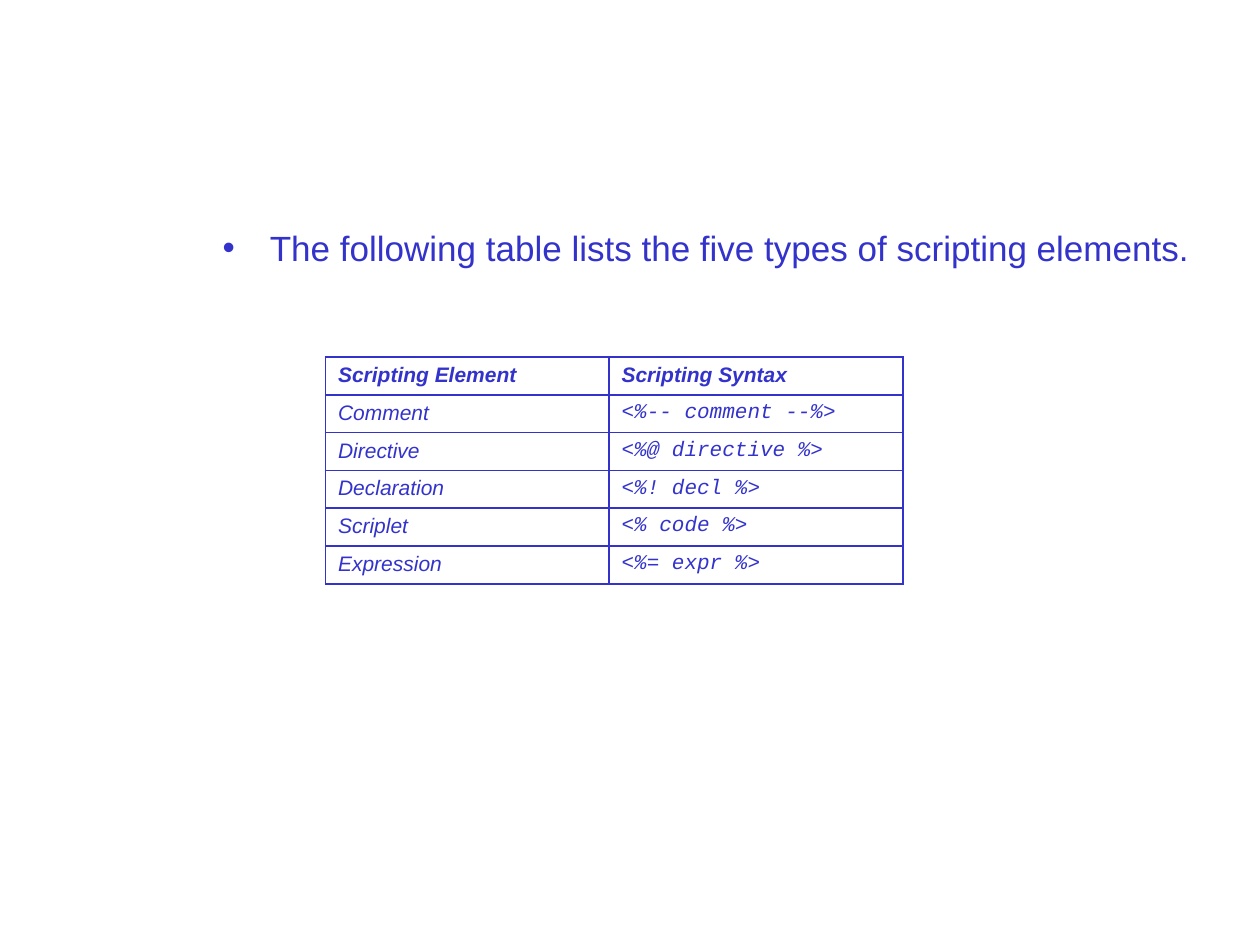
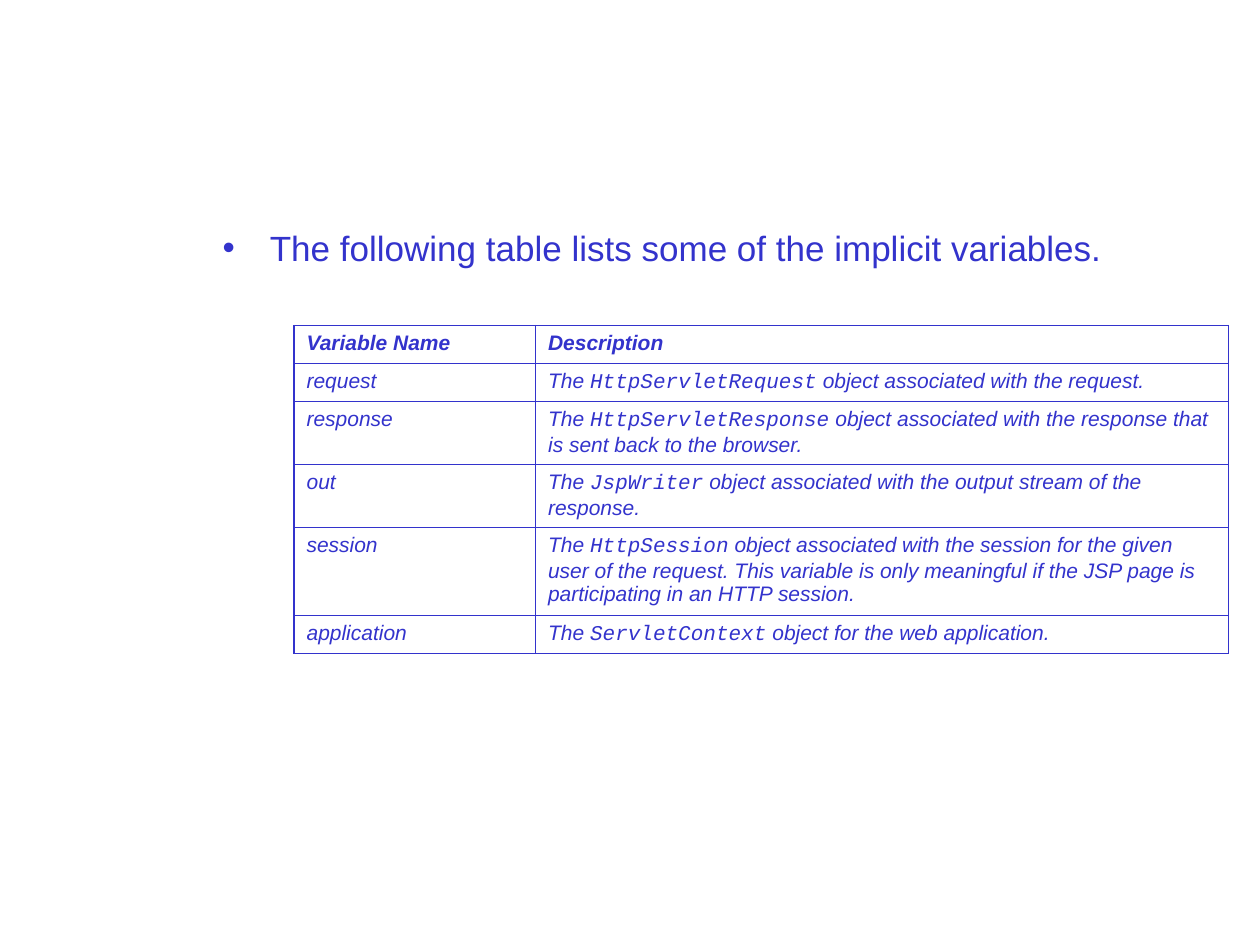
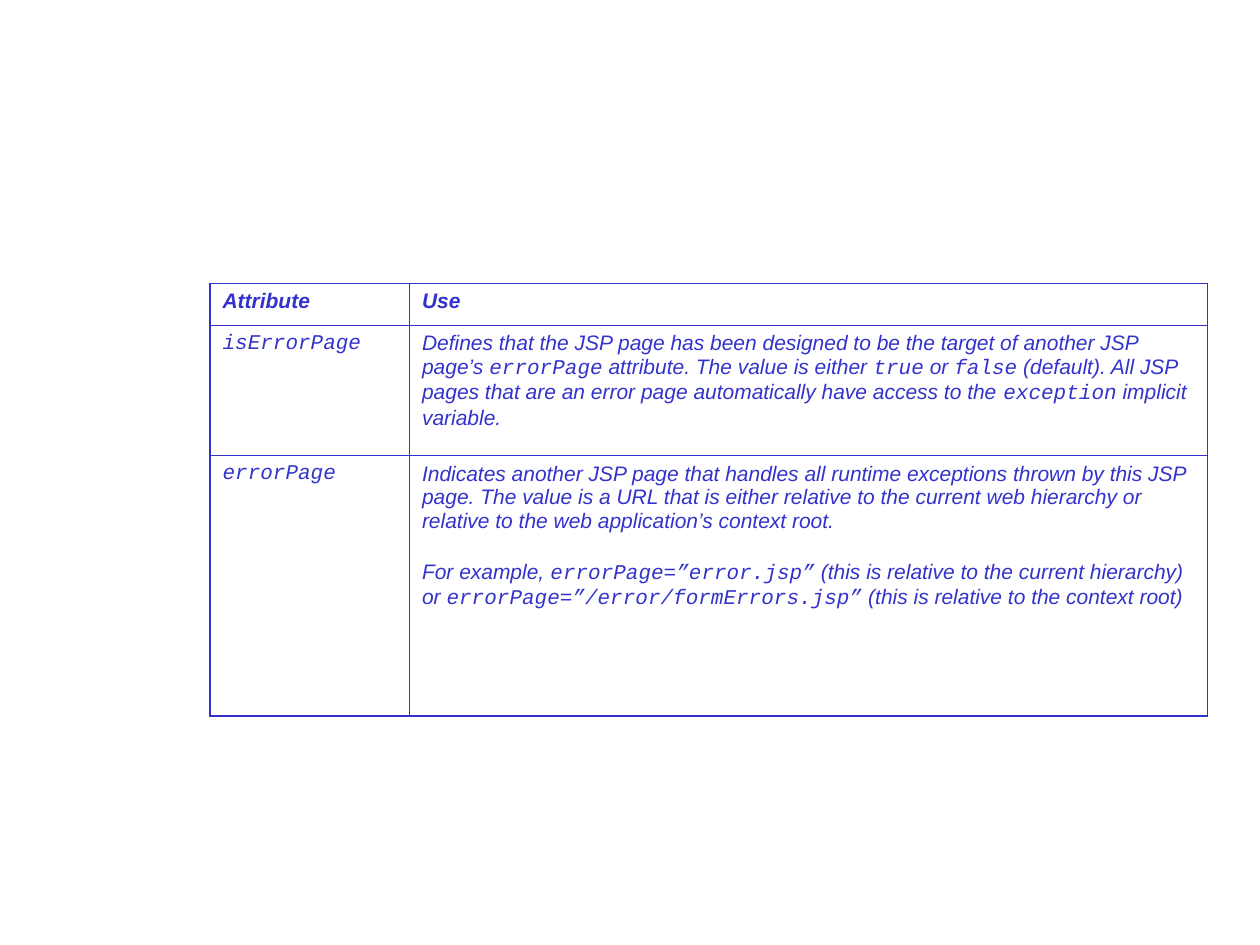
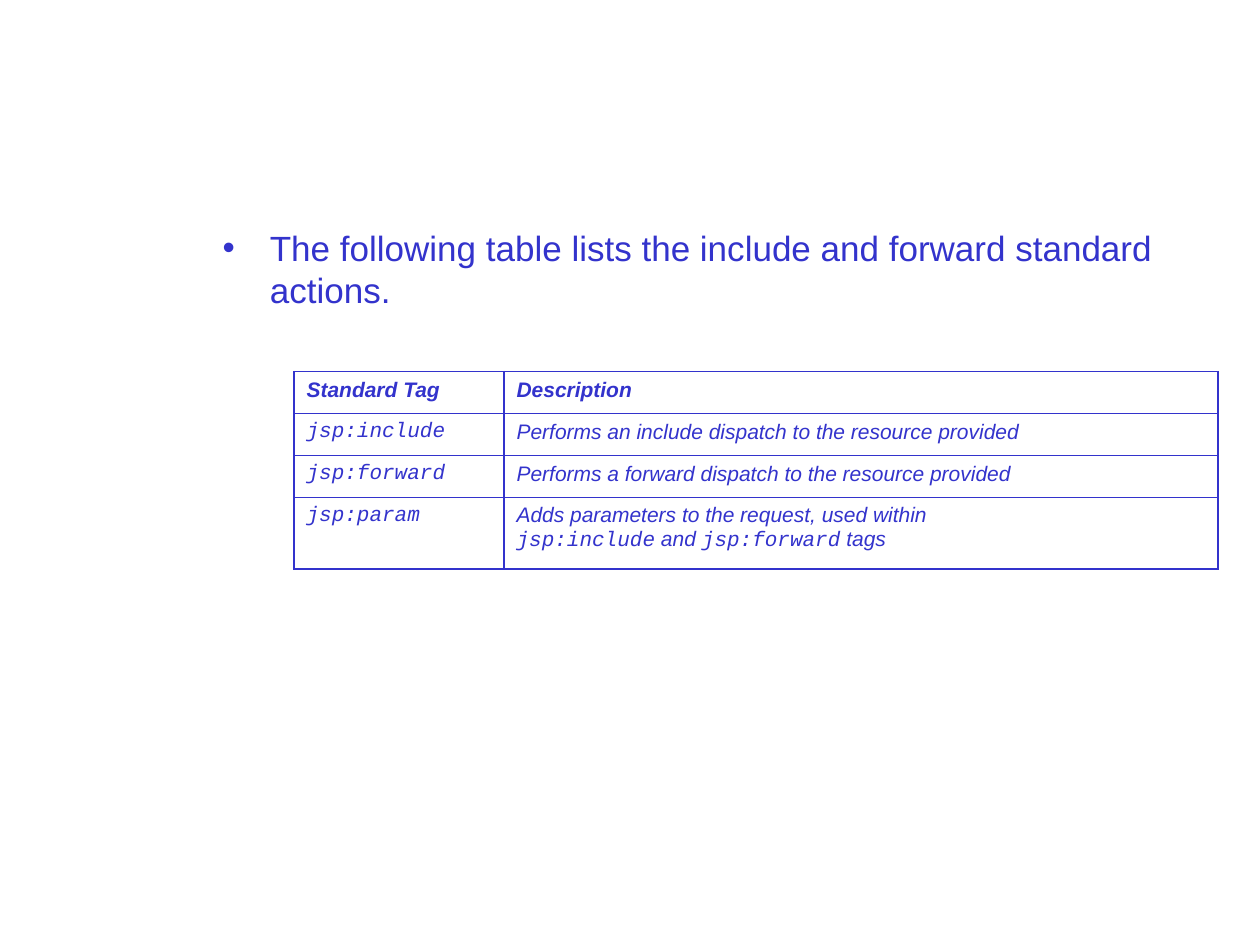
from dataclasses import dataclass
from typing import Optional

from pptx import Presentation
from pptx import util as u
from pptx.dml.color import RGBColor
from pptx.enum import text
from pptx.oxml import parse_xml
from pptx.oxml.ns import nsdecls

PX = u.Inches(1) // 120
TITLE_AND_CONTENT, BLANK = 1, 6


def px(n: int) -> u.Emu:
    return u.Emu(n * PX)


@dataclass(frozen=True)
class Theme:
    ink: str = "3333CC"
    sans: str = "Arial"
    mono: str = "Courier New"
    lead_size: int = 20
    cell_size: int = 12
    paragraph_gap: int = 16
    border: int = 1

    @property
    def rgb(self) -> RGBColor:
        return RGBColor.from_string(self.ink)


@dataclass(frozen=True)
class Grid:
    """A table; code in cells stands between backticks, a blank line opens a gap."""
    left: int
    top: int
    cols: list[int]
    rows: list[int]
    cells: list[tuple[str, str]]


@dataclass(frozen=True)
class Page:
    lead: Optional[str]
    grid: Grid


THEME = Theme()
LEAD_BOX = (200, 210, 960, 600)

PAGES = [
    Page(
        "The following table lists the five types of scripting elements.",
        Grid(310, 340, [270, 280], [36] * 6, [
            ("Scripting Element", "Scripting Syntax"),
            ("Comment", "`<%-- comment --%>`"),
            ("Directive", "`<%@ directive %>`"),
            ("Declaration", "`<%! decl %>`"),
            ("Scriplet", "`<% code %>`"),
            ("Expression", "`<%= expr %>`"),
        ]),
    ),
    Page(
        "The following table lists some of the implicit variables.",
        Grid(280, 310, [230, 660], [36, 36, 60, 60, 84, 36], [
            ("Variable Name", "Description"),
            ("request", "The `HttpServletRequest` object associated with the request."),
            ("response", "The `HttpServletResponse` object associated with the response "
                         "that is sent back to the browser."),
            ("out", "The `JspWriter` object associated with the output stream of the response."),
            ("session", "The `HttpSession` object associated with the session for the given "
                        "user of the request. This variable is only meaningful if the JSP "
                        "page is participating in an HTTP session."),
            ("application", "The `ServletContext` object for the web application."),
        ]),
    ),
    Page(
        None,
        Grid(200, 270, [190, 760], [40, 124, 248], [
            ("Attribute", "Use"),
            ("`isErrorPage`",
             "Defines that the JSP page has been designed to be the target of another JSP "
             "page’s `errorPage` attribute. The value is either `true` or `false` (default). "
             "All JSP pages that are an error page automatically have access to the "
             "`exception` implicit variable."),
            ("`errorPage`",
             "Indicates another JSP page that handles all runtime exceptions thrown by this "
             "JSP page. The value is a URL that is either relative to the current web "
             "hierarchy or relative to the web application’s context root.\n\n"
             "For example, `errorPage=”error.jsp”` (this is relative to the current "
             "hierarchy) or `errorPage=”/error/formErrors.jsp”` (this is relative to the "
             "context root)"),
        ]),
    ),
    Page(
        "The following table lists the include and forward standard actions.",
        Grid(280, 354, [200, 680], [40, 40, 40, 68], [
            ("Standard Tag", "Description"),
            ("`jsp:include`", "Performs an include dispatch to the resource provided"),
            ("`jsp:forward`", "Performs a forward dispatch to the resource provided"),
            ("`jsp:param`", "Adds parameters to the request, used within\n"
                            "`jsp:include` and `jsp:forward` tags"),
        ]),
    ),
]


def add_lead(s, words: str) -> None:
    body = s.placeholders[1]
    body.left, body.top, body.width, body.height = map(px, LEAD_BOX)
    tf = body.text_frame
    tf.auto_size = text.MSO_AUTO_SIZE.NONE
    tf.text = words
    p = tf.paragraphs[0]
    p.space_before = u.Pt(0)
    p.font.name, p.font.size = THEME.sans, u.Pt(THEME.lead_size)
    p.font.color.rgb = THEME.rgb


def set_borders(cell) -> None:
    tc_pr = cell._tc.get_or_add_tcPr()
    for side in "LRTB":
        tc_pr.append(parse_xml(
            f'<a:ln{side} {nsdecls("a")} w="{u.Pt(THEME.border)}"><a:solidFill>'
            f'<a:srgbClr val="{THEME.ink}"/></a:solidFill></a:ln{side}>'))


def write_cell(cell, words: str, header: bool) -> None:
    tf = cell.text_frame
    for block_no, block in enumerate(words.split("\n\n")):
        for line_no, line in enumerate(block.split("\n")):
            first = block_no == line_no == 0
            p = tf.paragraphs[0] if first else tf.add_paragraph()
            if block_no and not line_no:
                p.space_before = u.Pt(THEME.paragraph_gap)
            p.font.size = u.Pt(THEME.cell_size)
            p.font.bold, p.font.italic = header, True
            for i, part in enumerate(line.split("`")):
                if part:
                    r = p.add_run()
                    r.text = part
                    r.font.name = THEME.mono if i % 2 else THEME.sans
                    r.font.color.rgb = THEME.rgb


def add_grid(s, grid: Grid) -> None:
    frame = s.shapes.add_table(
        len(grid.rows), len(grid.cols), px(grid.left), px(grid.top),
        px(sum(grid.cols)), px(sum(grid.rows)))
    table = frame.table
    table.first_row = table.horz_banding = False
    for col, width in zip(table.columns, grid.cols):
        col.width = px(width)
    for row_no, (row, height) in enumerate(zip(table.rows, grid.rows)):
        row.height = px(height)
        for cell, words in zip(row.cells, grid.cells[row_no]):
            set_borders(cell)
            cell.fill.background()
            write_cell(cell, words, header=row_no == 0)


def add_page(prs, page: Page) -> None:
    layout = TITLE_AND_CONTENT if page.lead else BLANK
    s = prs.slides.add_slide(prs.slide_layouts[layout])
    if page.lead:
        title = s.shapes.title.element
        title.getparent().remove(title)
        add_lead(s, page.lead)
    add_grid(s, page.grid)


def main() -> None:
    prs = Presentation()
    prs.slide_width, prs.slide_height = px(1200), px(900)
    for page in PAGES:
        add_page(prs, page)
    prs.save("out.pptx")


if __name__ == "__main__":
    main()
